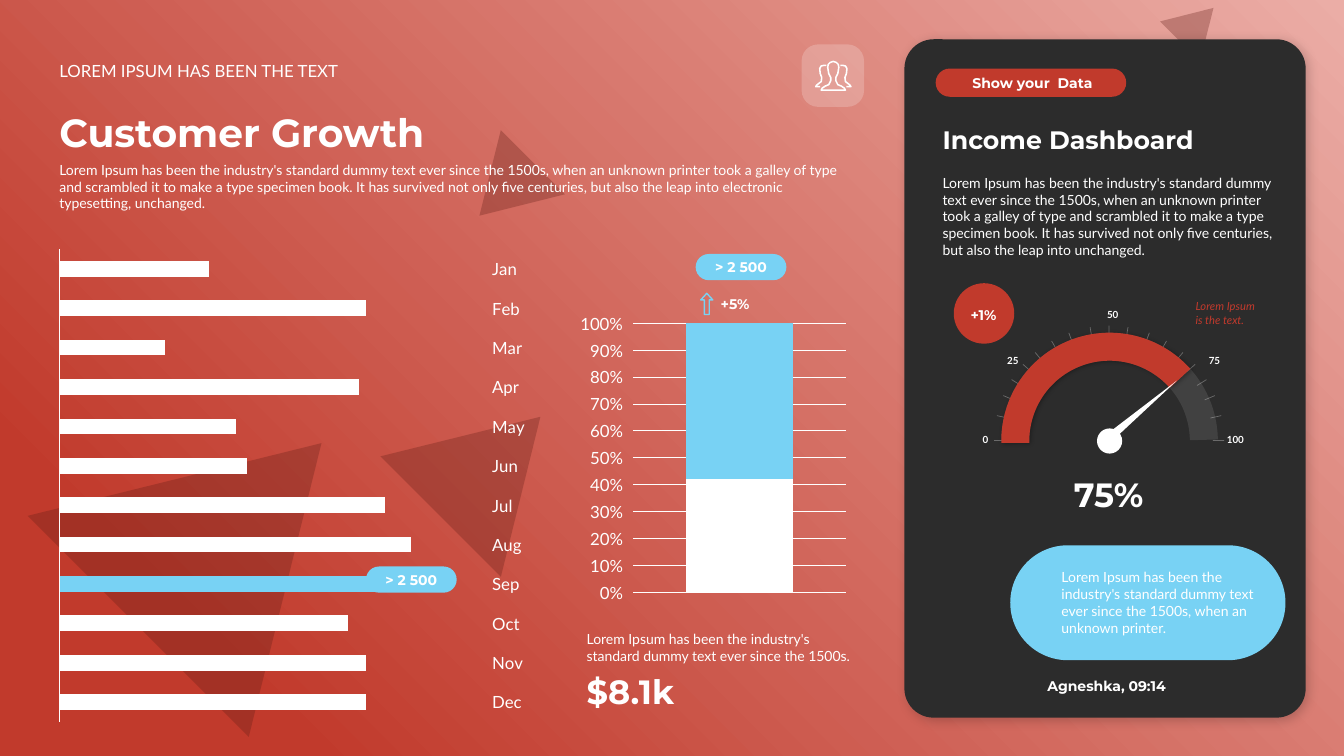
import math

import pptx
import pptx.chart.data
import pptx.dml.color
import pptx.enum.chart
import pptx.enum.shapes
import pptx.enum.text
import pptx.oxml
import pptx.oxml.ns
import pptx.util

Inches, Pt = pptx.util.Inches, pptx.util.Pt
RGBColor = pptx.dml.color.RGBColor
SHAPE = pptx.enum.shapes.MSO_SHAPE
ALIGN = pptx.enum.text.PP_ALIGN
ANCHOR = pptx.enum.text.MSO_ANCHOR
CHART = pptx.enum.chart
NS = pptx.oxml.ns.nsdecls("a")

WHITE = RGBColor(0xFF, 0xFF, 0xFF)
DARK = RGBColor(0x2C, 0x2C, 0x2C)
RED = RGBColor(0xC1, 0x3A, 0x2C)
MAROON = RGBColor(0x60, 0x1D, 0x16)
BLUE = RGBColor(0x78, 0xD2, 0xF4)

LOREM = "Lorem Ipsum has been the industry's standard dummy text ever since the 1500s"
GALLEY = (", when an unknown printer took a galley of type and scrambled it to make a type "
          "specimen book. It has survived not only five centuries, but also the leap into ")

MONTHS = {"Jan": 40, "Feb": 82, "Mar": 28, "Apr": 80, "May": 47, "Jun": 50,
          "Jul": 87, "Aug": 94, "Sep": 100, "Oct": 77, "Nov": 82, "Dec": 82}
SHARES = {"Series 1": (42, WHITE), "Series 2": (58, BLUE)}

TRIANGLES = [(0.73, 4.02, 3.1, 2.57), (4.02, 3.93, 1.69, 1.4),
             (4.57, 1.5, 0.9, 0.75), (11.59, 0.01, 0.56, 0.47)]
FLIPPED_TRIANGLE = 2

BODY = {"name": "Lato", "size": Pt(10)}
LEAD = {"name": "Lato", "size": Pt(12)}
NOTE = {"name": "Lato", "size": Pt(8), "italic": True}
SCALE = {"name": "Lato", "size": Pt(7), "bold": True}
LABEL = {"name": "Montserrat", "size": Pt(10), "bold": True}
SUBTITLE = {**LABEL, "size": Pt(18)}
FIGURE = {**LABEL, "size": Pt(24)}
TITLE = {**LABEL, "size": Pt(28)}
TOP, MIDDLE, BOTTOM = ANCHOR.TOP, ANCHOR.MIDDLE, ANCHOR.BOTTOM
LEFT, CENTER, RIGHT = ALIGN.LEFT, ALIGN.CENTER, ALIGN.RIGHT

# text, (left, top, width, height), font, anchor, alignment
TEXTS = [
    (LOREM + GALLEY + "electronic typesetting, unchanged.", (0.49, 1.55, 8.08, 0.61), BODY, TOP, LEFT),
    ("Customer Growth", (0.49, 1.02, 8.08, 0.57), TITLE, BOTTOM, LEFT),
    ("LOREM IPSUM HAS BEEN THE TEXT", (0.49, 0.55, 8.08, 0.3), LEAD, BOTTOM, LEFT),
    ("$8.1k", (5.72, 6.61, 2.91, 0.5), FIGURE, BOTTOM, LEFT),
    (LOREM + ".", (5.72, 6.2, 2.91, 0.44), BODY, BOTTOM, LEFT),
    ("+5%", (6.98, 2.88, 0.62, 0.27), LABEL, TOP, CENTER),
    (LOREM + GALLEY + "unchanged.", (9.25, 1.68, 3.5, 0.94), BODY, TOP, LEFT),
    ("Income Dashboard", (9.25, 1.18, 3.5, 0.4), SUBTITLE, BOTTOM, LEFT),
    ("Show your  Data", (9.37, 0.69, 1.74, 0.27), LABEL, MIDDLE, CENTER),
    ("0", (9.56, 4.22, 0.34, 0.28), SCALE, MIDDLE, RIGHT),
    ("25", (9.79, 3.44, 0.41, 0.28), SCALE, MIDDLE, RIGHT),
    ("50", (10.78, 2.95, 0.41, 0.28), SCALE, BOTTOM, RIGHT),
    ("75", (11.89, 3.44, 0.41, 0.28), SCALE, MIDDLE, LEFT),
    ("100", (12.07, 4.22, 0.59, 0.28), SCALE, MIDDLE, LEFT),
    ("+1%", (9.41, 2.99, 0.69, 0.27), LABEL, MIDDLE, CENTER),
    ("Lorem Ipsum is the text.", (11.76, 2.92, 0.87, 0.37), NOTE, MIDDLE, LEFT),
    ("75%", (9.8, 4.65, 2.39, 0.5), FIGURE, BOTTOM, CENTER),
    (LOREM + ", when an unknown printer.", (10.43, 5.59, 2.13, 0.77), BODY, MIDDLE, LEFT),
    ("Agneshka, 09:14", (10.29, 6.67, 2.28, 0.27), LABEL, BOTTOM, LEFT),
]

GAUGE_CENTER = (11, 4.37)
TICK_RADII = (1.14, 1.03)
TICK_ANGLES = [0, 12.5, 23, 32, 41.5, 50, 60, 69.5, 80.5, 90]
GAUGE_ARC = (10.07, 3.44, 1.87, 1.87)

# Right halves of the people icon: distance from its axis, height on the slide
ICON_AXIS = 8.265
FRONT_PERSON = [(0, 0.61), (0.03, 0.62), (0.05, 0.64), (0.055, 0.67), (0.045, 0.73), (0.025, 0.77),
                (0.025, 0.8), (0.045, 0.84), (0.08, 0.855), (0.11, 0.875), (0.12, 0.895)]
BACK_PERSON = [(0.07, 0.65), (0.09, 0.648), (0.12, 0.655), (0.135, 0.68), (0.13, 0.73), (0.115, 0.77),
               (0.12, 0.81), (0.14, 0.825), (0.165, 0.845), (0.175, 0.86), (0.13, 0.86)]

deck = pptx.Presentation()
deck.slide_width, deck.slide_height = Inches(13.33), Inches(7.5)
page = deck.slides.add_slide(deck.slide_layouts[6])
page.background.fill.solid()
page.background.fill.fore_color.rgb = DARK


def inches(values):
    return [Inches(value) for value in values]


def fade(element, percent):
    """Give every colour inside the element this opacity."""
    for color in element.iter(pptx.oxml.ns.qn("a:srgbClr")):
        color.append(pptx.oxml.parse_xml(f'<a:alpha {NS} val="{percent * 1000}"/>'))


def add_shape(kind, frame, fill=None, line=None, width=1, opacity=None, adjust=(), turn=0):
    shape = page.shapes.add_shape(kind, *inches(frame))
    shape.shadow.inherit = False
    shape.rotation = turn
    for index, value in enumerate(adjust):
        shape.adjustments[index] = value
    for paint, color in ((shape.fill, fill), (shape.line.fill, line)):
        if color is None:
            paint.background()
        else:
            paint.solid()
            paint.fore_color.rgb = color
    if line is not None:
        shape.line.width = Pt(width)
    if opacity:
        fade(shape._element.spPr, opacity)
    return shape


def cast_shadow(shape, opacity, blur, distance):
    effects = shape._element.spPr.find(pptx.oxml.ns.qn("a:effectLst"))
    effects.append(pptx.oxml.parse_xml(
        f'<a:outerShdw {NS} blurRad="{Pt(blur)}" dist="{Pt(distance)}" dir="2700000" algn="tl" '
        f'rotWithShape="0"><a:srgbClr val="000000"><a:alpha val="{opacity * 1000}"/>'
        '</a:srgbClr></a:outerShdw>'))


def write(frame, text, font, anchor, align, color=WHITE):
    frame.word_wrap = True
    frame.vertical_anchor = anchor
    para = frame.paragraphs[0]
    para.alignment = align
    span = para.add_run()
    span.text = text
    for key, value in font.items():
        setattr(span.font, key, value)
    span.font.color.rgb = color


def add_pill(left, top):
    pill = add_shape(SHAPE.ROUNDED_RECTANGLE, (left, top, 0.9, 0.26), BLUE, adjust=[0.5])
    for side in ("left", "top", "right", "bottom"):
        setattr(pill.text_frame, "margin_" + side, 0)
    write(pill.text_frame, "> 2 500", LABEL, MIDDLE, CENTER)


def add_outline(points, close):
    builder = page.shapes.build_freeform(*inches(points[0]))
    builder.add_line_segments([inches(point) for point in points[1:]], close=close)
    outline = builder.convert_to_shape()
    outline.shadow.inherit = False
    outline.fill.background()
    outline.line.color.rgb = WHITE
    outline.line.width = Pt(1.1)


def add_chart(kind, frame, categories, series, plot_area, gap, overlap):
    """Add a white-lettered chart; plot_area is x, y, w, h as fractions of the frame."""
    data = pptx.chart.data.CategoryChartData()
    data.categories = categories
    for name, values in series.items():
        data.add_series(name, values)
    chart = page.shapes.add_chart(kind, *inches(frame), data).chart
    chart.has_legend = chart.has_title = False
    for key, value in LEAD.items():
        setattr(chart.font, key, value)
    chart.font.color.rgb = WHITE
    plot = chart.plots[0]
    for key, value in {"gap_width": gap, "overlap": overlap, "vary_by_categories": False}.items():
        setattr(plot, key, value)
    area = chart._chartSpace.chart.plotArea
    for old in area.findall(pptx.oxml.ns.qn("c:layout")):
        area.remove(old)
    places = "".join(f'<c:{key} val="{value}"/>' for key, value in zip("xywh", plot_area))
    area.insert(0, pptx.oxml.parse_xml(
        f'<c:layout {pptx.oxml.ns.nsdecls("c")}><c:manualLayout><c:layoutTarget val="inner"/>'
        f'<c:xMode val="edge"/><c:yMode val="edge"/>{places}</c:manualLayout></c:layout>'))
    return chart


def paint_bar(item, color):
    item.format.fill.solid()
    item.format.fill.fore_color.rgb = color


backdrop = add_shape(SHAPE.RECTANGLE, (0, 0, 13.33, 7.5))
no_fill = backdrop._element.spPr.find(pptx.oxml.ns.qn("a:noFill"))
no_fill.getparent().replace(no_fill, pptx.oxml.parse_xml(
    f'<a:gradFill {NS}><a:gsLst><a:gs pos="0"><a:srgbClr val="EBADA6"/></a:gs>'
    '<a:gs pos="85000"><a:srgbClr val="C13A2C"/></a:gs></a:gsLst>'
    '<a:path path="circle"><a:fillToRect l="100000" b="100000"/></a:path></a:gradFill>'))
for index, frame in enumerate(TRIANGLES):
    triangle = add_shape(SHAPE.ISOSCELES_TRIANGLE, frame, MAROON, opacity=30, turn=45)
    if index == FLIPPED_TRIANGLE:
        triangle._element.spPr.xfrm.set("flipV", "1")

card = add_shape(SHAPE.ROUNDED_RECTANGLE, (8.97, 0.39, 3.98, 6.73), DARK, adjust=[0.073])
cast_shadow(card, 20, 8, 3)
add_shape(SHAPE.ROUNDED_RECTANGLE, (7.95, 0.44, 0.62, 0.62), WHITE, opacity=20, adjust=[0.265])
right, left = ([(ICON_AXIS + side * x, y) for x, y in FRONT_PERSON] for side in (1, -1))
add_outline(right + left[:0:-1], True)
for side in (1, -1):
    add_outline([(ICON_AXIS + side * x, y) for x, y in BACK_PERSON], False)

growth = add_chart(CHART.XL_CHART_TYPE.BAR_CLUSTERED, (0.49, 2.38, 4.76, 4.85), list(MONTHS),
                   {"Series 1": list(MONTHS.values())}, (0.022, 0.019, 0.88, 0.967), 150, -25)
paint_bar(growth.series[0], WHITE)
paint_bar(growth.series[0].points[list(MONTHS).index("Sep")], BLUE)
month_axis, amount_axis = growth.category_axis, growth.value_axis
for key, value in {"reverse_order": True, "major_tick_mark": CHART.XL_TICK_MARK.NONE,
                   "tick_label_position": CHART.XL_TICK_LABEL_POSITION.HIGH}.items():
    setattr(month_axis, key, value)
month_axis.format.line.color.rgb = WHITE
month_axis.format.line.width = Pt(0.75)
for key, value in {"visible": False, "has_major_gridlines": False,
                   "minimum_scale": 0, "maximum_scale": 113}.items():
    setattr(amount_axis, key, value)

share = add_chart(CHART.XL_CHART_TYPE.COLUMN_STACKED_100, (5.7, 3.05, 2.75, 2.99), ["1"],
                  {name: [value] for name, (value, color) in SHARES.items()},
                  (0.21, 0.053, 0.768, 0.893), 100, 100)
for series, (value, color) in zip(share.series, SHARES.values()):
    paint_bar(series, color)
share.category_axis.visible = False
percent_axis = share.value_axis
for key, value in {"minimum_scale": 0, "maximum_scale": 1, "major_unit": 0.1,
                   "major_tick_mark": CHART.XL_TICK_MARK.OUTSIDE}.items():
    setattr(percent_axis, key, value)
percent_axis.tick_labels.number_format = "0%"
percent_axis.tick_labels.number_format_is_linked = False
percent_axis.format.line.fill.background()
percent_axis.major_gridlines.format.line.color.rgb = WHITE
percent_axis.major_gridlines.format.line.width = Pt(0.75)

add_pill(6.9, 2.52)
add_pill(3.63, 5.62)
add_shape(SHAPE.UP_ARROW, (6.95, 2.91, 0.12, 0.21), line=BLUE, adjust=[0.4, 0.55])
add_shape(SHAPE.ROUNDED_RECTANGLE, (9.28, 0.68, 1.89, 0.28), RED, adjust=[0.5])

add_shape(SHAPE.ARC, GAUGE_ARC, line=WHITE, width=20, opacity=10, adjust=[108.1, 215.58])
add_shape(SHAPE.OVAL, (10.88, 4.25, 0.25, 0.25), WHITE)
for angle in TICK_ANGLES + [180 - angle for angle in TICK_ANGLES[:-1]]:
    across, up = math.cos(math.radians(angle)), math.sin(math.radians(angle))
    ends = [part for radius in TICK_RADII
            for part in (GAUGE_CENTER[0] - radius * across, GAUGE_CENTER[1] - radius * up)]
    tick = page.shapes.add_connector(pptx.enum.shapes.MSO_CONNECTOR.STRAIGHT, *inches(ends))
    tick.line.color.rgb = WHITE
    tick.line.width = Pt(0.5)
    fade(tick._element.spPr, 30)
    tick._element.spPr.append(pptx.oxml.parse_xml(f"<a:effectLst {NS}/>"))
progress = add_shape(SHAPE.ARC, GAUGE_ARC, line=RED, width=20, adjust=[107.34, 191.03])
cast_shadow(progress, 30, 3, 1)
add_shape(SHAPE.ISOSCELES_TRIANGLE, (11.32, 3.63, 0.08, 0.82), WHITE, turn=49.8)
add_shape(SHAPE.OVAL, (9.46, 2.81, 0.6, 0.6), RED)
add_shape(SHAPE.ROUNDED_RECTANGLE, (10.02, 5.41, 2.73, 1.14), BLUE, adjust=[0.5])

for text, frame, font, anchor, align in TEXTS:
    box = page.shapes.add_textbox(*inches(frame))
    write(box.text_frame, text, font, anchor, align, RED if font is NOTE else WHITE)

deck.save("out.pptx")
